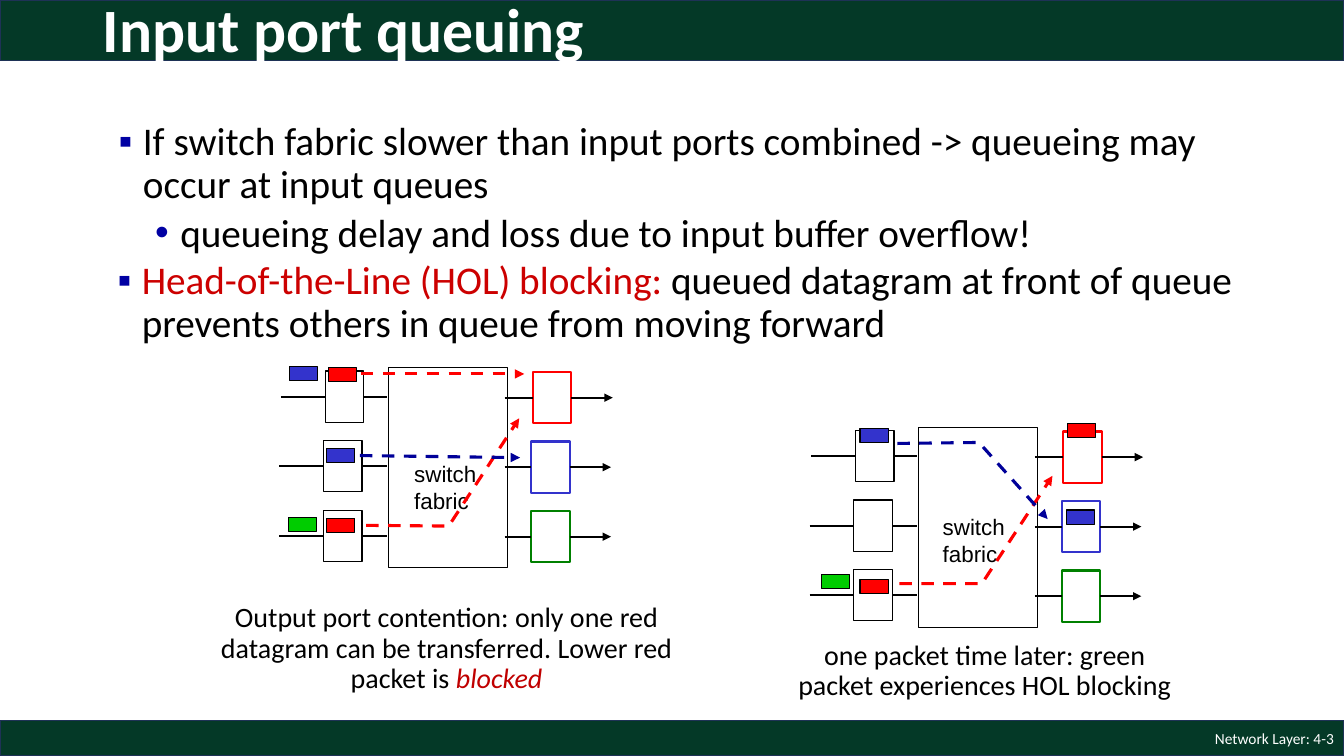
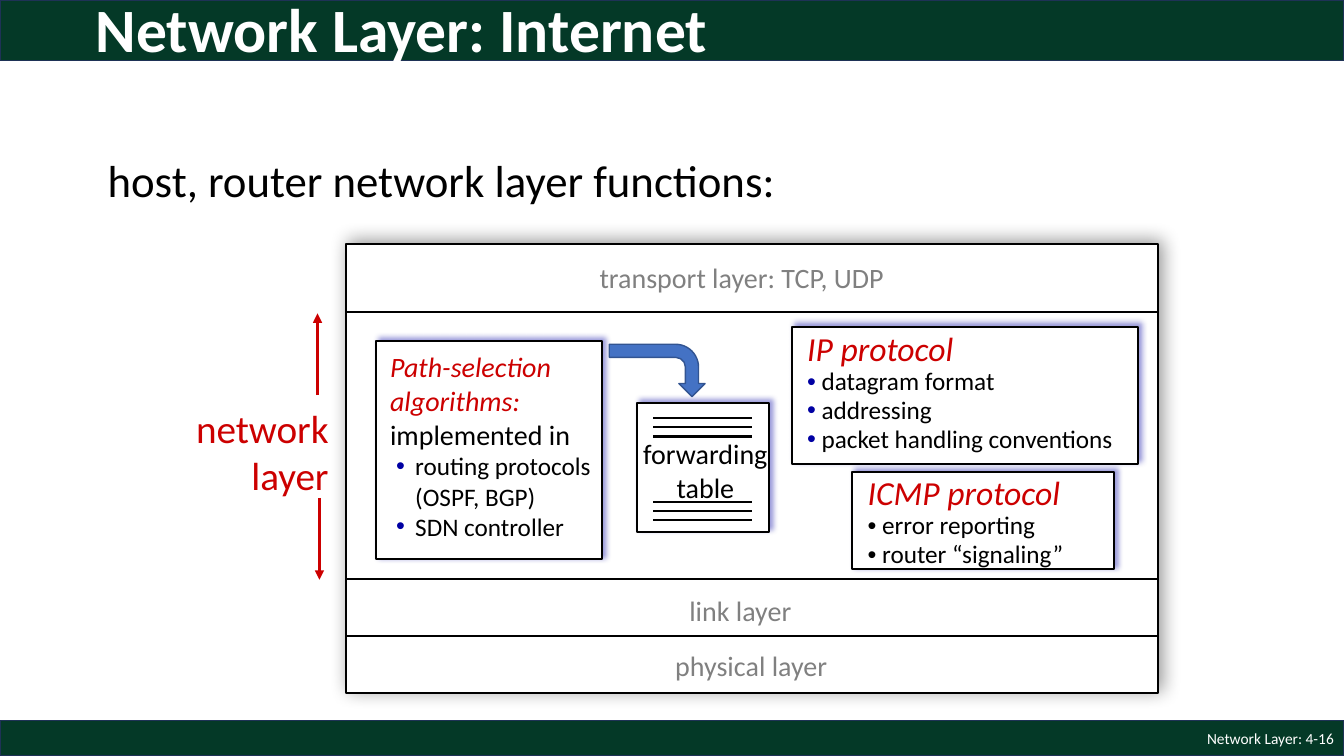
from dataclasses import dataclass

from lxml import etree
from pptx import Presentation
from pptx.dml.color import RGBColor
from pptx.enum.dml import MSO_LINE
from pptx.enum.shapes import MSO_CONNECTOR, MSO_SHAPE
from pptx.enum.text import MSO_ANCHOR, MSO_AUTO_SIZE, PP_ALIGN
from pptx.oxml.ns import qn
from pptx.util import Pt

RECT, BENT_ARROW = MSO_SHAPE.RECTANGLE, MSO_SHAPE.BENT_ARROW
STRAIGHT, DASH = MSO_CONNECTOR.STRAIGHT, MSO_LINE.DASH
LEFT, CENTER, RIGHT = PP_ALIGN.LEFT, PP_ALIGN.CENTER, PP_ALIGN.RIGHT
MIDDLE, NO_FIT = MSO_ANCHOR.MIDDLE, MSO_AUTO_SIZE.NONE
SIDE_LEFT, SIDE_RIGHT = 1, 3


@dataclass(frozen=True)
class Theme:
    band: str = "043927"
    band_edge: str = "1E3256"
    white: str = "FFFFFF"
    black: str = "000000"
    grey: str = "808080"
    bullet: str = "0000A3"
    accent: str = "CC0000"
    blocked: str = "C00000"
    red: str = "FF0000"
    blue: str = "3333CC"
    navy: str = "000099"
    port_green: str = "008000"
    green: str = "00CC00"
    arrow: str = "4472C4"
    arrow_edge: str = "325491"
    font: str = "Calibri"
    label_font: str = "Arial"
    title: int = 44
    lead: int = 32
    body: int = 28
    head: int = 24
    text: int = 20
    small: int = 18
    label: int = 16
    footer: int = 11


T = Theme()
WIDTH, HEIGHT = 960, 540
BANDS = ((0, 43.2), (514.8, 25.2))
CARD_SHADOW = (T.bullet, 4)
STACK_SHADOW = (T.black, 13)


def pts(*values):
    return [Pt(v) for v in values]


def rgb(value):
    return RGBColor.from_string(value)


def sub(parent, tag, **attrs):
    return etree.SubElement(parent, qn(tag), {k: str(v) for k, v in attrs.items()})


def run(text, size=T.text, color=T.black, font=T.font, **fmt):
    return text, color, dict(name=font, size=Pt(size), **fmt)


def para(*runs, bullet=None, bullet_color=None, margin=0, indent=0, **fmt):
    return runs, bullet, bullet_color, margin, indent, fmt


def add_bullet(p, char, color, margin, indent):
    pPr = p._p.get_or_add_pPr()
    pPr.set("marL", str(Pt(margin)))
    pPr.set("indent", str(Pt(indent)))
    if color:
        sub(sub(pPr, "a:buClr"), "a:srgbClr", val=color)
    sub(pPr, "a:buFont", typeface=T.label_font)
    sub(pPr, "a:buChar", char=char)


def write(tf, paras):
    for i, (runs, bullet, color, margin, indent, fmt) in enumerate(paras):
        p = tf.add_paragraph() if i else tf.paragraphs[0]
        for key, value in fmt.items():
            setattr(p, key, value)
        if bullet:
            add_bullet(p, bullet, color, margin, indent)
        for text, text_color, font in runs:
            r = p.add_run()
            r.text = text
            for key, value in font.items():
                setattr(r.font, key, value)
            r.font.color.rgb = rgb(text_color)


def add_text(s, box, paras, **frame):
    tf = s.shapes.add_textbox(*pts(*box)).text_frame
    for key, value in {"word_wrap": True, **frame}.items():
        setattr(tf, key, value)
    write(tf, paras)


def stroke(sp, color, width, dashed=False, arrow=False):
    sp.line.color.rgb = rgb(color)
    sp.line.width = Pt(width)
    if dashed:
        sp.line.dash_style = DASH
    if arrow:
        sub(sp.element.spPr.find(qn("a:ln")), "a:tailEnd", type="triangle")


def add_box(s, box, fill=T.white, edge=T.black, width=0.75, shadow=None, kind=RECT):
    sp = s.shapes.add_shape(kind, *pts(*box))
    sp.shadow.inherit = False
    sp.fill.solid()
    sp.fill.fore_color.rgb = rgb(fill)
    stroke(sp, edge, width)
    if shadow:
        color, blur = shadow
        effects = sp.element.spPr.find(qn("a:effectLst"))
        outer = sub(effects, "a:outerShdw", blurRad=Pt(blur), dist=Pt(3),
                    dir=315 * 60000, algn="bl", rotWithShape=0)
        sub(sub(outer, "a:srgbClr", val=color), "a:alpha", val=40000)
    return sp


def add_line(s, start, end, color=T.black, width=1.5, begin=None, finish=None, **style):
    cn = s.shapes.add_connector(STRAIGHT, *pts(*start, *end))
    if begin:
        cn.begin_connect(*begin)
    if finish:
        cn.end_connect(*finish)
    stroke(cn, color, width, **style)
    sub(cn.element.spPr, "a:effectLst")


def add_route(s, points, color):
    style = dict(color=color, width=2.25, dashed=True, arrow=True)
    if len(points) == 2:
        add_line(s, *points, **style)
        return
    builder = s.shapes.build_freeform(*pts(*points[0]), scale=1.0)
    builder.add_line_segments([pts(*pt) for pt in points[1:]], close=False)
    sp = builder.convert_to_shape()
    sp.shadow.inherit = False
    sp.fill.background()
    stroke(sp, **style)


def add_bands(layout, s):
    for i, (y, h) in enumerate(BANDS):
        sp = add_box(s, (0, y, WIDTH, h), T.band, T.band_edge, 1)
        sp.element.nvSpPr.cNvPr.id = 20 + i
        layout.shapes.element.insert(2, sp.element)


def add_slide(prs, title, left, number):
    s = prs.slides.add_slide(prs.slide_layouts[5])
    sp = s.shapes.title
    sp.left, sp.top, sp.width, sp.height = pts(left, -12, 828, 70.5)
    for key, value in dict(vertical_anchor=MIDDLE, auto_size=NO_FIT, word_wrap=True).items():
        setattr(sp.text_frame, key, value)
    write(sp.text_frame, [para(run(title, T.title, T.white, bold=True),
                               alignment=LEFT, line_spacing=0.9)])
    add_text(s, (744, 514.8, 216, 25.2),
             [para(run(f"Network Layer: {number}", T.footer, T.white), alignment=RIGHT)],
             vertical_anchor=MIDDLE)
    return s


def add_switch(s, left, top, label_at, packets, routes):
    def at(x, y):
        return left + x, top + y

    fabric = add_box(s, (*at(77.8, 0), 85, 142.6))
    add_text(s, (*at(*label_at), 59, 46),
             [para(run(word, T.label, font=T.label_font)) for word in ("switch", "fabric")],
             word_wrap=False)
    for i, edge in enumerate((T.red, T.blue, T.port_green)):
        y, shift = 49.65 * i, 0 if i else 1.2
        in_port = add_box(s, (*at(31.7 + shift, y + 2.2), 27.4, 36.7))
        out_port = add_box(s, (*at(180 + shift, y + 2.9), 27.4, 36.7), edge=edge, width=1.5)
        in_y, out_y = y + 20.55, y + 21.25
        add_line(s, at(shift, in_y), at(31.7, in_y), finish=(in_port, SIDE_LEFT))
        add_line(s, at(59, in_y), at(77, in_y), begin=(in_port, SIDE_RIGHT))
        add_line(s, at(161, out_y), at(180, out_y), finish=(out_port, SIDE_LEFT))
        add_line(s, at(207, out_y), at(237 + shift, out_y),
                 begin=(out_port, SIDE_RIGHT), arrow=True)
    for x, y, color in packets:
        add_box(s, (*at(x, y), 20.2, 10.1), color)
    for color, points in routes:
        add_route(s, [at(*pt) for pt in points], color)
    return fabric


def queuing_slide(prs):
    s = add_slide(prs, "Input port queuing", 66.2, "4-3")
    square = dict(bullet="▪", bullet_color=T.bullet, margin=28, indent=-17.3,
                  line_spacing=0.9, space_before=Pt(10))
    add_text(s, (67, 83.5, 828, 106.5), [
        para(run("If switch fabric slower than input ports combined -> queueing may "
                 "occur at input queues", T.body), **square),
        para(run("queueing delay and loss due to input buffer overflow!", T.body),
             **{**square, "bullet": "•", "margin": 54.7, "indent": -18,
                "space_before": Pt(5)})])
    add_text(s, (66.2, 182.9, 828, 77.8), [
        para(run("Head-of-the-Line (HOL) blocking:", T.body, T.accent),
             run(" queued datagram at front of queue prevents others in queue "
                 "from moving forward", T.body), **square)])
    add_switch(s, 199.5, 262.8, (89.3, 62.6),
               ((35.3, 0, T.red), (33.8, 57.6, T.blue), (33.8, 107.3, T.red),
                (7.2, -0.7, T.blue), (6.5, 106.6, T.green)),
               ((T.red, ((58.3, 4.3), (175, 4.3))),
                (T.red, ((62, 112.5), (121, 113), (171.4, 36))),
                (T.navy, ((57.6, 62.6), (172, 64.1)))))
    add_switch(s, 578.3, 305.3, (88, 57.6),
               ((184.3, -2.9, T.red), (36, 0.7, T.blue), (36, 108.7, T.red),
                (8.6, 105.1, T.green), (183.6, 59, T.blue)),
               ((T.red, ((64.1, 111.6), (123.1, 111.6), (173.5, 34.6))),
                (T.navy, ((62.6, 11.5), (121, 10.8), (170, 65.5)))))
    caption = dict(alignment=CENTER, line_spacing=0.9)
    add_text(s, (143.3, 427.7, 351.4, 72.7), [
        para(run("Output port contention: only one red datagram can be transferred. "
                 "Lower red packet is "),
             run("blocked", color=T.blocked, italic=True), **caption)])
    add_text(s, (562.3, 454.3, 282.2, 51), [
        para(run("one packet time later: green packet experiences HOL blocking"), **caption)])
    return s


def add_stack(s, left, top, width, height):
    add_box(s, (left, top, width, height), width=1.5, shadow=STACK_SHADOW)
    for y in (48.6, 239.4, 280.4):
        add_line(s, (left, top + y), (left + width, top + y))
    for x, y, w, label in ((174.2, 8.6, 223.2, "transport layer: TCP, UDP"),
                           (238.3, 246.2, 88.6, "link layer"),
                           (228.2, 285.8, 125.3, "physical layer")):
        add_text(s, (left + x, top + y, w, 31.7), [para(run(label, color=T.grey))],
                 word_wrap=False)


def add_card(s, box, inner, paras, **frame):
    left, top = box[:2]
    x, y, w, h = inner
    add_box(s, box, width=1.5, shadow=CARD_SHADOW)
    add_text(s, (left + x, top + y, w, h), paras, **frame)


def add_protocol(s, box, inner, name, items, bullet_color=None, **frame):
    paras = [para(run(name, T.head, T.accent, italic=True))]
    paras += [para(run(" " + item, T.small), bullet="•", bullet_color=bullet_color,
                   line_spacing=0.95) for item in items]
    add_card(s, box, inner, paras, **frame)


def add_forwarding_table(s, left, top):
    add_card(s, (left, top, 94.3, 92.2), (-3.6, 20.2, 105, 55.4),
             [para(run(word), alignment=CENTER) for word in ("forwarding", "table")],
             word_wrap=False)
    for y in (10.8, 70.6):
        for i in range(3):
            row = top + y + 6.5 * i
            add_line(s, (left + 11.5, row), (left + 82, row))


def add_layer_marker(s, left, top):
    add_text(s, (left, top, 110.9, 74.9),
             [para(run(word, T.body, T.accent), alignment=RIGHT)
              for word in ("network", "layer")], word_wrap=False)
    for x, start, end in ((95.8, -2.9, -61.2), (97.2, 70.6, 129)):
        add_line(s, (left + x, top + start), (left + x, top + end), T.accent, 2.25, arrow=True)


def internet_slide(prs):
    s = add_slide(prs, "Network Layer: Internet", 61.2, "4-16")
    add_text(s, (69.8, 111.6, 593.3, 34.6),
             [para(run("host, router network layer functions:", T.lead),
                   line_spacing=0.85, space_before=Pt(6.4))])
    add_stack(s, 247, 174.2, 580.3, 321.1)
    add_protocol(s, (565.9, 233.3, 247, 97.9), (3.6, -2.9, 239.8, 98.6), "IP protocol",
                 ("datagram format", "addressing", "packet handling conventions"),
                 T.bullet, word_wrap=False)
    add_protocol(s, (608.4, 337, 187.2, 69.8), (4.3, -3.6, 193.7, 76.3), "ICMP protocol",
                 ("error reporting", "router “signaling”"))
    add_layer_marker(s, 131, 285.1)
    add_forwarding_table(s, 455, 288)
    add_card(s, (268.6, 243.4, 161.3, 156.2), (2.9, 2.9, 167, 145.4), [
        para(run("Path-selection algorithms: ", color=T.accent, italic=True),
             run("implemented in")),
        *(para(run(item, T.small), bullet="•", bullet_color=T.bullet, margin=18, indent=-13.7)
          for item in ("routing protocols (OSPF, BGP)", "SDN controller"))])
    sp = add_box(s, (450.7, 230.4, 37.4, 68.4), T.arrow, T.arrow_edge, 1, kind=BENT_ARROW)
    sp.rotation = 90
    return s


def main():
    prs = Presentation()
    prs.slide_width, prs.slide_height = pts(WIDTH, HEIGHT)
    s = queuing_slide(prs)
    add_bands(s.slide_layout, s)
    internet_slide(prs)
    prs.save("out.pptx")


if __name__ == "__main__":
    main()
